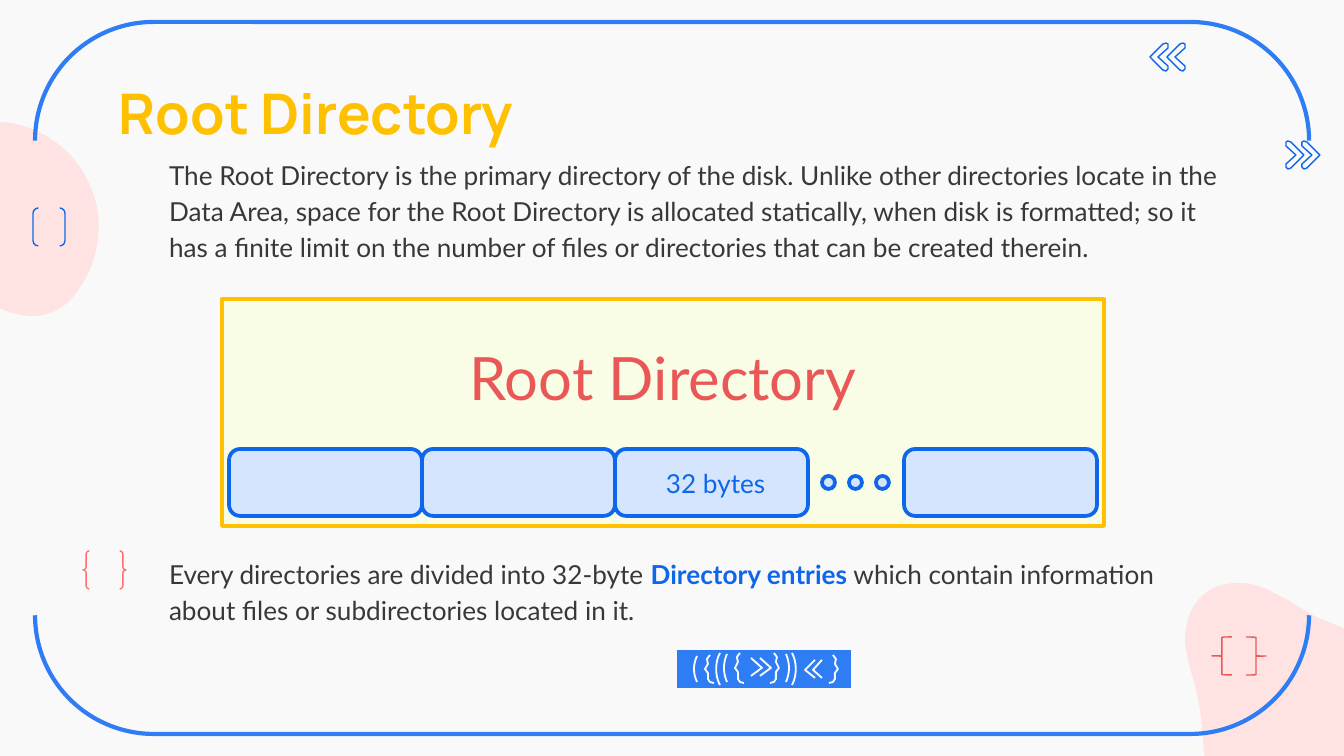
from pptx import Presentation
from pptx.dml.color import RGBColor
from pptx.enum.shapes import MSO_SHAPE
from pptx.enum.text import MSO_ANCHOR, PP_ALIGN
from pptx.util import Pt

PX = 914400 / 134.4  # EMU per pixel
PAPER = RGBColor(0xF9, 0xF9, 0xF9)
PINK = RGBColor(0xFF, 0xE3, 0xE3)
BLUE = RGBColor(0x0E, 0x66, 0xEB)
BRIGHT_BLUE = RGBColor(0x2E, 0x7D, 0xF4)
PALE_BLUE = RGBColor(0xD5, 0xE5, 0xFD)
RED = RGBColor(0xE9, 0x58, 0x56)
CORAL = RGBColor(0xFF, 0x6E, 0x6B)
GOLD = RGBColor(0xFF, 0xC0, 0x00)
CREAM = RGBColor(0xF9, 0xFD, 0xE5)
INK = RGBColor(0x38, 0x38, 0x38)

deck = Presentation()
deck.slide_width, deck.slide_height = round(1344 * PX), round(756 * PX)
slide = deck.slides.add_slide(deck.slide_layouts[6])
slide.background.fill.solid()
slide.background.fill.fore_color.rgb = PAPER


def paint(shape, fill=None, line=None, width=0.75):
    shape.shadow.inherit = False
    if fill is None:
        shape.fill.background()
    else:
        shape.fill.solid()
        shape.fill.fore_color.rgb = fill
    if line is None:
        shape.line.fill.background()
    else:
        shape.line.color.rgb = line
        shape.line.width = Pt(width)
    return shape


def write(shape, text, size=14, color=INK, font="Lato", bold=False,
          align=PP_ALIGN.LEFT, anchor=MSO_ANCHOR.TOP, spacing=1.0,
          insets=(13, 13, 13, 13)):
    frame = shape.text_frame
    frame.word_wrap = True
    frame.vertical_anchor = anchor
    (frame.margin_left, frame.margin_top, frame.margin_right,
     frame.margin_bottom) = [round(inset * PX) for inset in insets]
    paragraph = frame.paragraphs[0]
    paragraph.alignment = align
    paragraph.line_spacing = spacing
    run = paragraph.add_run()
    run.text = text
    run.font.size, run.font.name, run.font.bold = Pt(size), font, bold
    run.font.color.rgb = color


# Curves: a start point, then two control points and an end point per segment
left_blob = [
    (-3, 122), (-9, 122), (-15, 122), (-22, 124), (-59, 132), (-97, 161), (-99, 200),
    (-102, 242), (-54, 277), (-23, 297), (-4, 308), (15, 316), (32, 316),
    (50, 316), (67, 308), (79, 289), (101, 258), (105, 216), (89, 183),
    (74, 149), (39, 125), (3, 122), (0, 122), (-1, 122), (-3, 122)]
right_blob = [
    (1238, 583), (1223, 583), (1210, 587), (1200, 598), (1188, 610), (1185, 628),
    (1185, 642), (1187, 659), (1192, 675), (1196, 689), (1212, 750), (1189, 844),
    (1274, 860), (1281, 862), (1288, 862), (1294, 862), (1367, 862), (1409, 780),
    (1399, 711), (1395, 691), (1388, 672), (1376, 656), (1367, 644), (1357, 636),
    (1345, 629), (1335, 624), (1321, 620), (1309, 613), (1297, 606), (1286, 598),
    (1274, 593), (1263, 586), (1250, 583), (1238, 583)]
badge_parens = [
    [(x, top), (x + bulge, top + 9), (x + bulge, bottom - 9), (x, bottom)]
    for x, top, bottom, bulge in [(697, 656, 682, -4), (720, 653, 685, -5), (727, 654, 682, -4),
                                  (786, 654, 682, 4), (792, 653, 685, 5)]]

curves = []
for nodes in [left_blob, right_blob] + badge_parens:
    points = [nodes[0]]
    for i in range(0, len(nodes) - 1, 3):
        for step in range(1, 13):
            t = step / 12
            weights = ((1 - t) ** 3, 3 * t * (1 - t) ** 2, 3 * t * t * (1 - t), t ** 3)
            points.append(tuple(sum(w * node[axis] for w, node in zip(weights, nodes[i:i + 4]))
                                for axis in (0, 1)))
    curves.append(points)

# Outlines: points, closed, fill, line, line width
outlines = [(blob, True, PINK, None, 0) for blob in curves[:2]]

# Double chevrons at the top right
chevron = [(0, 0), (13, -13), (16, -14), (18, -13), (18, -9), (8, 0),
           (18, 9), (18, 12), (16, 14), (13, 13)]
for tip_x, tip_y, side in [(1150, 57, 1), (1167, 57, 1), (1320, 155, -1), (1304, 155, -1)]:
    points = [(tip_x + side * x, tip_y + y) for x, y in chevron]
    outlines.append((points, True, PAPER, BLUE, 0.75))

# Code badge: blue strip, parentheses, braces and chevrons
outlines.append(([(677, 650), (677, 688), (851, 688), (851, 650)], True, BRIGHT_BLUE, None, 0))
strokes = curves[2:]
for tip, top, bottom, side in [(705, 655, 684, 1), (735, 653, 684, 1),
                               (779, 653, 684, -1), (838, 655, 684, -1)]:
    middle = (top + bottom) // 2
    strokes.append([(tip + side * x, y) for x, y in [
        (5, top), (2, top + 4), (3, top + 9), (0, middle), (3, middle + 4),
        (3, bottom - 5), (5, bottom - 2), (9, bottom - 1)]])
for back, tip, top in [(751, 762, 658), (760, 771, 658), (815, 805, 660), (822, 813, 660)]:
    strokes.append([(back, top), (tip, top + 10), (back, top + 18)])
outlines += [(stroke, False, None, PAPER, 1) for stroke in strokes]

for points, closed, fill, line, width in outlines:
    emu = [(x * PX, y * PX) for x, y in points]
    builder = slide.shapes.build_freeform(*emu[0], scale=1.0)
    builder.add_line_segments(emu[1:], close=closed)
    paint(builder.convert_to_shape(), fill, line, width)

# Preset shapes: kind, box, rotation, fill, line, line width
presets = [
    (MSO_SHAPE.DOUBLE_BRACKET, (33, 208, 32, 38), 0, None, BLUE, 0.75),
    (MSO_SHAPE.LEFT_BRACE, (1212, 637, 20, 38), 0, None, RED, 0.75),
    (MSO_SHAPE.LEFT_BRACE, (1246, 637, 20, 38), 180, None, RED, 0.75),
    (MSO_SHAPE.DOUBLE_BRACKET, (316, -259, 712, 1274), 90, None, BRIGHT_BLUE, 2.25),
    (MSO_SHAPE.DOUBLE_BRACE, (83, 551, 43, 38), 0, None, CORAL, 0.75),
    (MSO_SHAPE.RECTANGLE, (222, 299, 882, 227), 0, CREAM, GOLD, 2)]
# Directory entries and the dots between them
presets += [(MSO_SHAPE.ROUNDED_RECTANGLE, (x, 449, 193, 67), 0, PALE_BLUE, BLUE, 2)
            for x in (229, 422, 615, 904)]
presets += [(MSO_SHAPE.FLOWCHART_CONNECTOR, (822 + 27 * i, 476, 13, 13), 0, PALE_BLUE, BLUE, 2)
            for i in range(3)]

for kind, box, rotation, fill, line, width in presets:
    shape = paint(slide.shapes.add_shape(kind, *[round(v * PX) for v in box]), fill, line, width)
    shape.rotation = rotation
    if kind == MSO_SHAPE.LEFT_BRACE:
        shape.adjustments[0] = 0.02
    if kind == MSO_SHAPE.RECTANGLE:
        write(shape, "Root Directory", size=32, color=RED, align=PP_ALIGN.CENTER,
              anchor=MSO_ANCHOR.MIDDLE, insets=(13, 7, 13, 79))

# Title and body text
title, intro, summary, entry_size = [
    slide.shapes.add_textbox(*[round(v * PX) for v in box])
    for box in [(106, 66, 1133, 85), (156, 142, 1083, 133), (156, 541, 1083, 94),
                (653, 460, 129, 46)]]
write(title, "Root Directory", size=30, color=GOLD, font="Manrope", bold=True)
write(intro, "The Root Directory is the primary directory of the disk. Unlike other directories "
      "locate in the Data Area, space for the Root Directory is allocated statically, when disk "
      "is formatted; so it has a finite limit on the number of files or directories that can be "
      "created therein.", spacing=1.15)
for text, color, bold in [
        ("Every directories are divided into 32-byte ", INK, False),
        ("Directory entries", BLUE, True),
        (" which contain information about files or subdirectories located in it.", INK, False)]:
    write(summary, text, color=color, bold=bold, spacing=1.15)
write(entry_size, "32 bytes", color=BLUE, insets=(13, 7, 13, 7))

deck.save("out.pptx")
